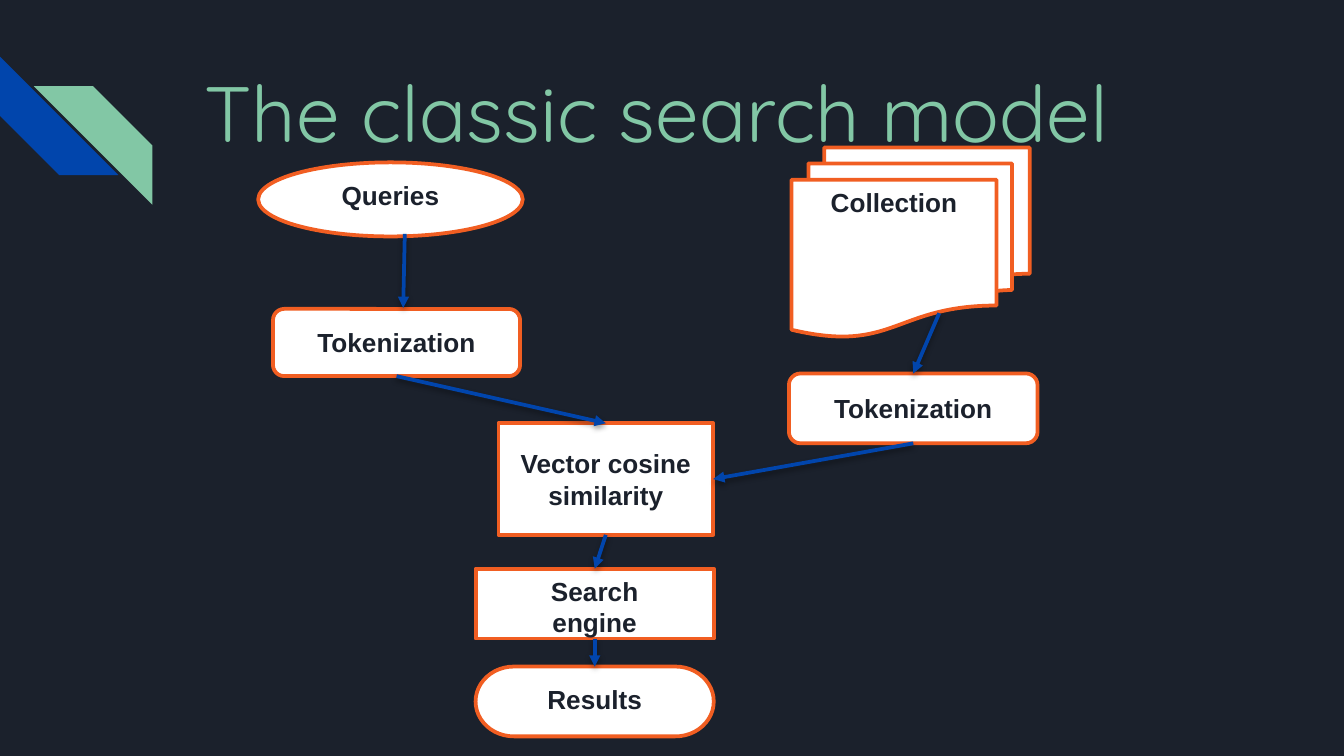
"""Build a slide with a flow chart of the classic search model."""
import lxml.etree
import pptx
import pptx.dml.color
import pptx.enum.shapes
import pptx.enum.text
import pptx.oxml
import pptx.oxml.ns
import pptx.util

Cm = pptx.util.Cm
Pt = pptx.util.Pt
SHAPE = pptx.enum.shapes.MSO_SHAPE
ANCHOR = pptx.enum.text.MSO_ANCHOR
ALIGN = pptx.enum.text.PP_ALIGN
NAVY, BLUE, GREEN, ORANGE, WHITE = "1B212C", "0145AC", "82C7A5", "F15E22", "FFFFFF"
TOP, LEFT, BOTTOM, RIGHT = range(4)


def paint(color_format, color):
    """Give a fill a solid colour."""
    color_format.solid()
    color_format.fore_color.rgb = pptx.dml.color.RGBColor.from_string(color)


def write(shape, text, font, size, color, bold, align, anchor):
    """Put formatted text into a shape."""
    frame = shape.text_frame
    frame.text = text
    frame.word_wrap = True
    frame.auto_size = pptx.enum.text.MSO_AUTO_SIZE.NONE
    frame.vertical_anchor = anchor
    for para in frame.paragraphs:
        para.alignment = align
        for span in para.runs:
            span.font.name = font
            span.font.size = Pt(size)
            span.font.bold = bold
            paint(span.font.fill, color)


deck = pptx.Presentation()
deck.slide_width, deck.slide_height = Cm(25.4), Cm(14.29)
page = deck.slides.add_slide(deck.slide_layouts[5])
paint(page.background.fill, NAVY)

title = page.shapes.title
title.left, title.top, title.width, title.height = Cm(3.61), Cm(1.09), Cm(19.56), Cm(2.54)
write(title, "The classic search model", "Quicksand", 42, GREEN, False, ALIGN.LEFT, ANCHOR.TOP)

stripes = []
for left, top, color in [(0, 1.07, BLUE), (0.64, 1.63, GREEN)]:
    stripe = page.shapes.add_shape(SHAPE.DIAGONAL_STRIPE, Cm(left), Cm(top), Cm(2.24), Cm(2.24))
    stripe.shadow.inherit = False
    paint(stripe.fill, color)
    stripe.line.fill.background()
    stripes.append(stripe)
stripes[0].rotation = 270
stripes[1]._element.spPr.find(pptx.oxml.ns.qn("a:xfrm")).set("flipH", "1")

steps = [
    ("collection", "Collection", SHAPE.FLOWCHART_MULTIDOCUMENT, 14.96, 2.79, 4.5, 3.58, ANCHOR.TOP),
    ("queries", "Queries", SHAPE.OVAL, 4.88, 3.07, 5, 1.4, ANCHOR.TOP),
    ("results", "Results", SHAPE.FLOWCHART_TERMINATOR, 8.99, 12.6, 4.5, 1.32, ANCHOR.TOP),
    ("engine", "Search\nengine", SHAPE.FLOWCHART_PROCESS, 8.99, 10.75, 4.5, 1.32, ANCHOR.TOP),
    ("collection tokens", "Tokenization", SHAPE.ROUNDED_RECTANGLE, 14.91, 7.06, 4.7, 1.32, ANCHOR.MIDDLE),
    ("query tokens", "Tokenization", SHAPE.ROUNDED_RECTANGLE, 5.16, 5.84, 4.67, 1.27, ANCHOR.MIDDLE),
    ("similarity", "Vector cosine similarity", SHAPE.RECTANGLE, 9.42, 8, 4.06, 2.11, ANCHOR.MIDDLE),
]
boxes = {}
for name, text, kind, left, top, width, height, anchor in steps:
    box = page.shapes.add_shape(kind, Cm(left), Cm(top), Cm(width), Cm(height))
    box.shadow.inherit = False
    paint(box.fill, WHITE)
    paint(box.line.fill, ORANGE)
    box.line.width = Pt(2)
    write(box, text, "Arial", 14, NAVY, True, ALIGN.CENTER, anchor)
    boxes[name] = box

shadow_xml = (
    f'<a:effectLst {pptx.oxml.ns.nsdecls("a")}>'
    '<a:outerShdw blurRad="39370" dist="20320" dir="5400000" rotWithShape="0">'
    '<a:srgbClr val="000000"><a:alpha val="38000"/></a:srgbClr>'
    "</a:outerShdw></a:effectLst>"
)
arrows = [
    ((7.65, 4.42), (7.62, 5.82)),
    ((17.75, 5.92), ("collection tokens", TOP)),
    (("query tokens", BOTTOM), ("similarity", TOP)),
    (("collection tokens", BOTTOM), ("similarity", RIGHT)),
    (("similarity", BOTTOM), ("engine", TOP)),
    (("engine", BOTTOM), ("results", TOP)),
]
for start, end in arrows:
    arrow = page.shapes.add_connector(pptx.enum.shapes.MSO_CONNECTOR.STRAIGHT, 0, 0, 0, 0)
    if start[0] in boxes:
        arrow.begin_connect(boxes[start[0]], start[1])
    else:
        arrow.begin_x, arrow.begin_y = Cm(start[0]), Cm(start[1])
    if end[0] in boxes:
        arrow.end_connect(boxes[end[0]], end[1])
    else:
        arrow.end_x, arrow.end_y = Cm(end[0]), Cm(end[1])
    paint(arrow.line.fill, BLUE)
    arrow.line.width = Pt(2)
    head = lxml.etree.SubElement(arrow.line._get_or_add_ln(), pptx.oxml.ns.qn("a:tailEnd"))
    head.set("type", "triangle")
    arrow._element.spPr.append(pptx.oxml.parse_xml(shadow_xml))

deck.save("out.pptx")
